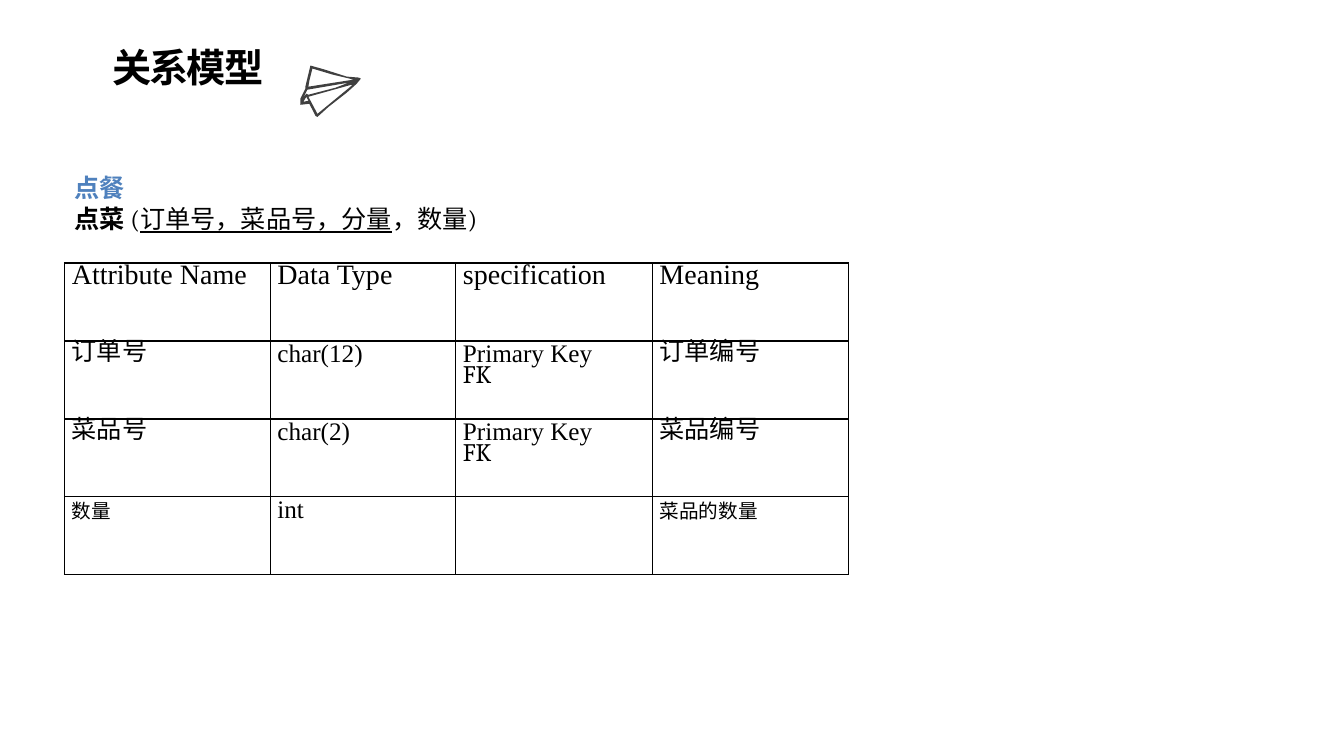
from lxml import etree
from pptx import Presentation
from pptx.dml.color import RGBColor
from pptx.enum.text import MSO_ANCHOR, MSO_AUTO_SIZE, PP_ALIGN
from pptx.oxml.ns import qn
from pptx.util import Pt

JUSTIFY = PP_ALIGN.JUSTIFY
LEFT = PP_ALIGN.LEFT
TOP = MSO_ANCHOR.TOP
MIDDLE = MSO_ANCHOR.MIDDLE
NO_FIT = MSO_AUTO_SIZE.NONE

TITLE_ONLY = 5
CJK, SERIF, TIMES = "Noto Sans CJK SC", "Cambria", "Times New Roman"
BLACK, BLUE, GRAY = "000000", "4F81BD", "404040"

COLUMN_WIDTHS = (146.9, 132.5, 140.4, 140.4)
ROW_HEIGHT = 55.7
ATTRIBUTES = (
    ("Attribute Name", "Data Type", "specification", "Meaning"),
    ("订单号", "char(12)", "Primary Key\nFK", "订单编号"),
    ("菜品号", "char(2)", "Primary Key\nFK", "菜品编号"),
    ("数量", "int", "", "菜品的数量"),
)

PLANE_UNIT = 0.72
PLANE_CONTOURS = (
    ((358, 78), (354, 83), (344, 92), (326, 106), (315, 116), (313, 115),
     (307, 103), (298, 104), (298, 98), (303, 88), (303, 86), (308, 65),
     (322, 69), (344, 76), (356, 77)),
    ((310, 68), (307, 80), (306, 86), (338, 81), (351, 79), (330, 74)),
    ((306, 96), (315, 113), (349, 85), (349, 84)),
    ((305, 89), (301, 97), (304, 93), (306, 94), (333, 87), (346, 82)),
    ((301, 101), (306, 100), (304, 96)),
)


def color(hex_text):
    """Return the colour for a hex string."""
    return RGBColor.from_string(hex_text)


def format_span(span, size, font, ink=BLACK, bold=False, underline=False):
    """Set the font of one run, for Latin and East Asian text."""
    span.font.size = Pt(size)
    span.font.name = font
    span.font.bold = bold
    span.font.underline = underline
    span.font.color.rgb = color(ink)
    east_asian = etree.SubElement(span.font._element, qn("a:ea"))
    east_asian.set("typeface", CJK)


def add_title(page, text):
    """Place and format the title placeholder."""
    title = page.shapes.title
    title.left, title.top, title.width, title.height = Pt(73.4), Pt(27.4), Pt(140.4), Pt(41)
    frame = title.text_frame
    frame.text = text
    frame.auto_size = NO_FIT
    frame.vertical_anchor = TOP
    paragraph = frame.paragraphs[0]
    paragraph.alignment = JUSTIFY
    span = paragraph.runs[0]
    format_span(span, 28, CJK, bold=True)
    span.font._element.set("spc", "-150")


def add_plane(page):
    """Draw the paper plane as one outline with cut-outs."""
    builder = page.shapes.build_freeform(*PLANE_CONTOURS[0][0], scale=Pt(PLANE_UNIT))
    for number, contour in enumerate(PLANE_CONTOURS):
        if number:
            builder.move_to(*contour[0])
        builder.add_line_segments(contour[1:], close=True)
    plane = builder.convert_to_shape()
    plane.shadow.inherit = False
    plane.fill.solid()
    plane.fill.fore_color.rgb = color(GRAY)
    plane.line.fill.background()


def add_relation(page, heading, spans):
    """Add the relation heading and its schema line."""
    box = page.shapes.add_textbox(Pt(46.1), Pt(113), Pt(305.3), Pt(54))
    frame = box.text_frame
    frame.word_wrap = True
    frame.auto_size = NO_FIT
    frame.vertical_anchor = MIDDLE
    frame.margin_top, frame.margin_bottom = Pt(10), Pt(0)
    frame.text = heading
    frame.paragraphs[0].alignment = LEFT
    format_span(frame.paragraphs[0].runs[0], 18, CJK, BLUE, bold=True)
    schema = frame.add_paragraph()
    for text, bold, underline in spans:
        span = schema.add_run()
        span.text = text
        format_span(span, 18, SERIF, bold=bold, underline=underline)


def add_borders(cell):
    """Give a cell thin black lines on all sides."""
    properties = cell._tc.get_or_add_tcPr()
    for side in ("a:lnL", "a:lnR", "a:lnT", "a:lnB"):
        line = etree.SubElement(properties, qn(side), w=str(Pt(1)))
        fill = etree.SubElement(line, qn("a:solidFill"))
        etree.SubElement(fill, qn("a:srgbClr"), val=BLACK)


def cell_style(text, row, last_row):
    """Return the size and font that suit a cell text."""
    if not text.isascii():
        return (14 if row == last_row else 18), CJK
    return (18 if row else 20), (SERIF if text == "FK" else TIMES)


def fill_cell(cell, text, row, last_row):
    """Write and format one table cell."""
    add_borders(cell)
    cell.fill.background()
    cell.margin_left = cell.margin_right = Pt(5.2)
    cell.margin_top = cell.margin_bottom = Pt(3.6)
    cell.text_frame.text = text
    for paragraph in cell.text_frame.paragraphs:
        paragraph.alignment = JUSTIFY
        paragraph.line_spacing = Pt(15.8)
        for span in paragraph.runs:
            format_span(span, *cell_style(span.text, row, last_row))


def add_attribute_table(page, rows):
    """Add the table of attributes."""
    frame = page.shapes.add_table(
        len(rows), len(COLUMN_WIDTHS), Pt(46.1), Pt(187.9),
        Pt(sum(COLUMN_WIDTHS)), Pt(ROW_HEIGHT * len(rows)))
    table = frame.table
    table.first_row = table.horz_banding = False
    for column, width in zip(table.columns, COLUMN_WIDTHS):
        column.width = Pt(width)
    for row, texts in enumerate(rows):
        table.rows[row].height = Pt(ROW_HEIGHT)
        for column, text in enumerate(texts):
            fill_cell(table.cell(row, column), text, row, len(rows) - 1)


def main():
    """Build the slide and save the deck."""
    deck = Presentation()
    deck.slide_width, deck.slide_height = Pt(960), Pt(540)
    page = deck.slides.add_slide(deck.slide_layouts[TITLE_ONLY])
    add_plane(page)
    add_title(page, "关系模型")
    add_attribute_table(page, ATTRIBUTES)
    add_relation(page, "点餐", (
        ("点菜", True, False),
        ("\u00a0(", False, False),
        ("订单号，菜品号，分量", False, True),
        ("，数量)", False, False),
    ))
    deck.save("out.pptx")


main()
